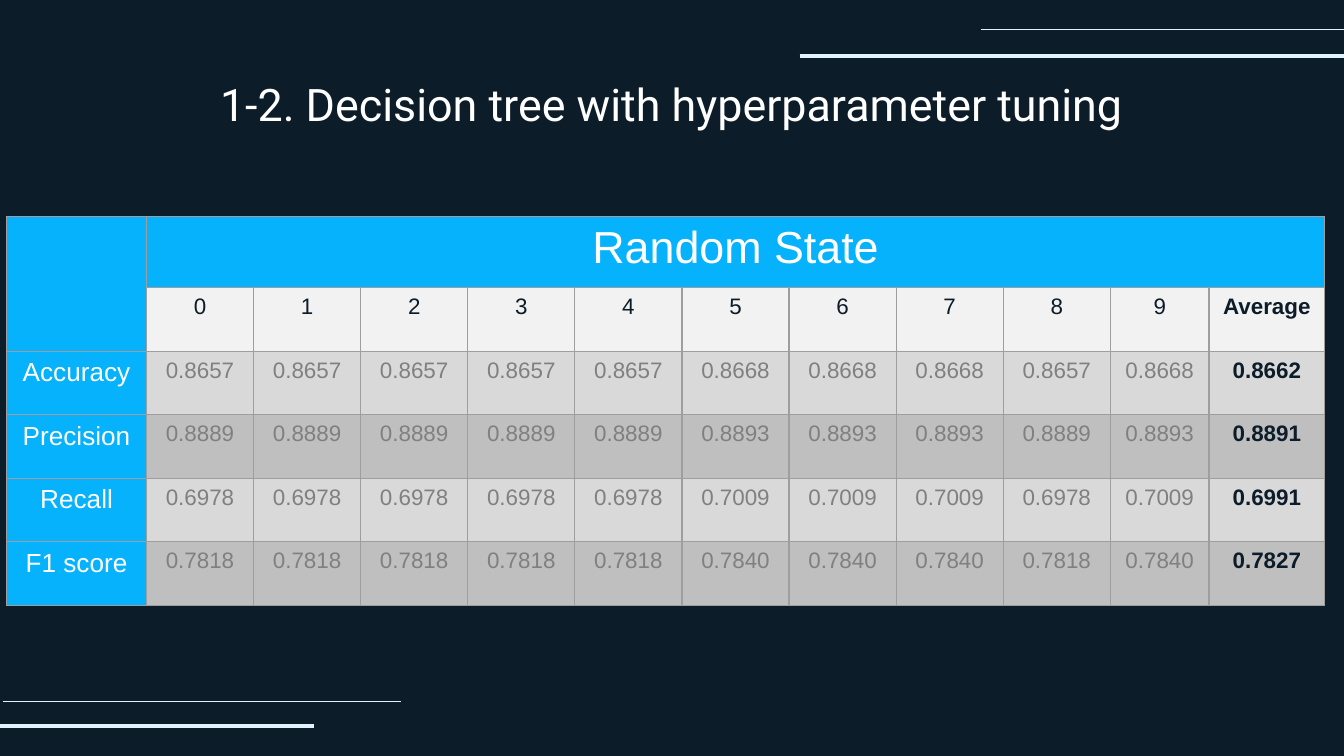
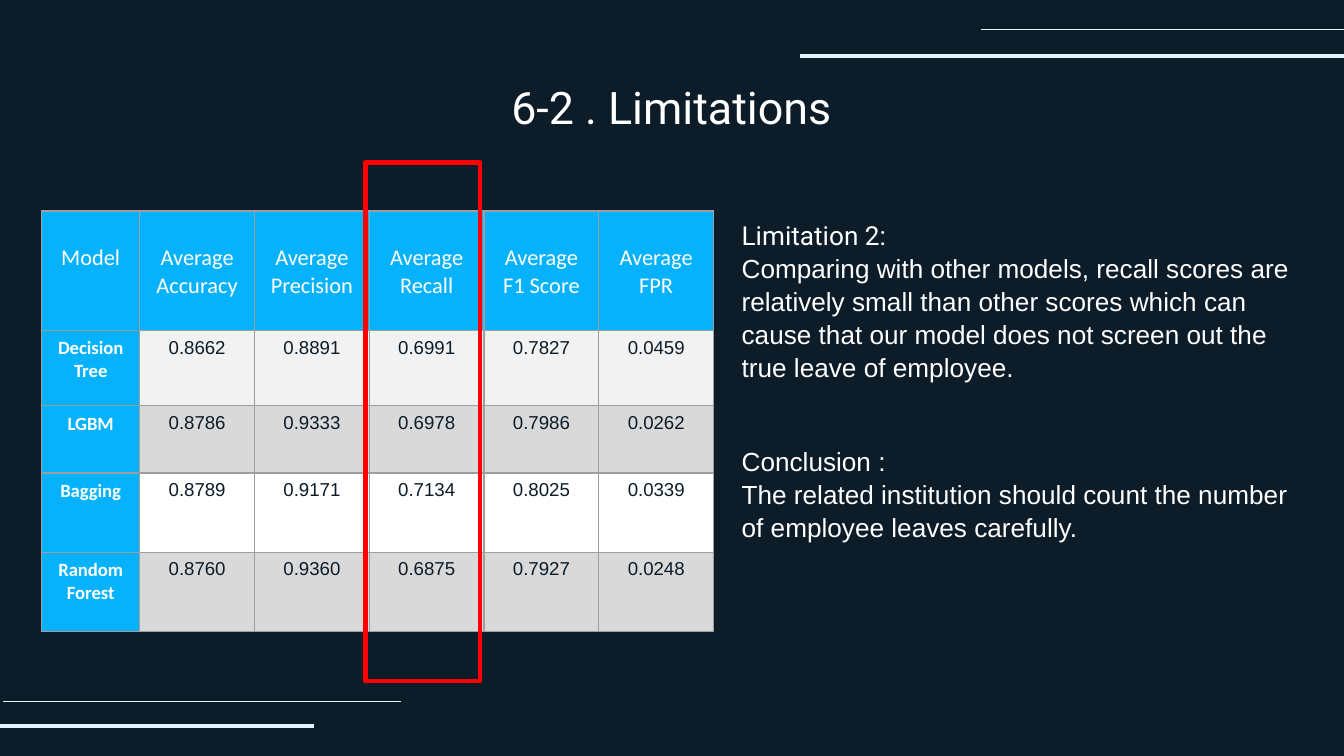
from dataclasses import dataclass
from typing import Any, NamedTuple

from lxml.etree import SubElement
from pptx import Presentation
from pptx.dml.color import RGBColor
from pptx.enum.shapes import MSO_CONNECTOR, MSO_SHAPE
from pptx.enum.text import MSO_ANCHOR, PP_ALIGN
from pptx.oxml.ns import qn
from pptx.util import Emu, Inches, Pt

SLIDE_WIDTH = Inches(10)
SLIDE_HEIGHT = Inches(5.625)
GRID_COLUMNS = 100
GRID_ROWS = 56.25


def across(columns: float) -> Emu:
    return Emu(round(SLIDE_WIDTH * columns / GRID_COLUMNS))


def down(rows: float) -> Emu:
    return Emu(round(SLIDE_HEIGHT * rows / GRID_ROWS))


class TextStyle(NamedTuple):
    size: float
    font: str
    color: str
    bold: bool = False


@dataclass(frozen=True)
class Theme:
    background: str = "0C1C29"
    accent: str = "E0F4FB"
    header: str = "05B2FB"
    border: str = "9E9E9E"
    highlight: str = "FF0000"
    white: str = "FFFFFF"
    pale: str = "F2F2F2"
    light: str = "D9D9D9"
    medium: str = "BFBFBF"
    thin: float = 0.75
    thick: float = 2.25
    body_spacing: float = 1.05
    title: TextStyle = TextStyle(24, "Roboto", "FFFFFF")
    lead: TextStyle = TextStyle(14, "Roboto", "FFFFFF")
    body: TextStyle = TextStyle(14, "Arial", "FFFFFF")
    banner: TextStyle = TextStyle(24, "Arial", "FFFFFF")
    state: TextStyle = TextStyle(12, "Arial", "0C1C29")
    score: TextStyle = TextStyle(12, "Arial", "808080")
    average: TextStyle = TextStyle(12, "Arial", "0C1C29", True)
    column_head: TextStyle = TextStyle(12, "Calibri", "FFFFFF")
    model: TextStyle = TextStyle(10, "Calibri", "FFFFFF", True)
    model_score: TextStyle = TextStyle(10, "Arial", "0C1C29")


THEME = Theme()


class Frame(NamedTuple):
    left: float
    top: float
    width: float
    height: float

    def placed(self) -> tuple[Emu, Emu, Emu, Emu]:
        return across(self.left), down(self.top), across(self.width), down(self.height)


class Rule(NamedTuple):
    start: float
    end: float
    row: float
    weight: float


class Line(NamedTuple):
    text: str
    style: TextStyle
    space_before: float = 0


class Cell(NamedTuple):
    text: str
    style: TextStyle
    fill: str
    top_inset: float = 0.5


RULES = (
    Rule(0, 23.4, 54, THEME.thick),
    Rule(0.2, 29.8, 52.2, THEME.thin),
    Rule(59.5, 100, 4.2, THEME.thick),
    Rule(73, 100, 2.2, THEME.thin),
)

STATES = [str(state) for state in range(10)]
METRICS = {
    "Accuracy": "0.8657 0.8657 0.8657 0.8657 0.8657 0.8668 0.8668 0.8668 0.8657 0.8668 0.8662",
    "Precision": "0.8889 0.8889 0.8889 0.8889 0.8889 0.8893 0.8893 0.8893 0.8889 0.8893 0.8891",
    "Recall": "0.6978 0.6978 0.6978 0.6978 0.6978 0.7009 0.7009 0.7009 0.6978 0.7009 0.6991",
    "F1 score": "0.7818 0.7818 0.7818 0.7818 0.7818 0.7840 0.7840 0.7840 0.7818 0.7840 0.7827",
}

MODEL_HEADS = (
    "Model",
    "Average Accuracy",
    "Average\nPrecision",
    "Average\nRecall",
    "Average\nF1 Score",
    "Average\nFPR",
)
MODELS = {
    "Decision Tree": "0.8662 0.8891 0.6991 0.7827 0.0459",
    "LGBM": "0.8786 0.9333 0.6978 0.7986 0.0262",
    "Bagging": "0.8789 0.9171 0.7134 0.8025 0.0339",
    "Random Forest": "0.8760 0.9360 0.6875 0.7927 0.0248",
}
MODEL_FILLS = (THEME.pale, THEME.light, THEME.white, THEME.light)


def apply(target: Any, values: dict[str, Any]) -> None:
    for name, value in values.items():
        setattr(target, name, value)


def write(frame: Any, lines: list[Line], **paragraph_format: Any) -> None:
    for index, line in enumerate(lines):
        para = frame.add_paragraph() if index else frame.paragraphs[0]
        apply(para, paragraph_format)
        if line.space_before:
            para.space_before = Pt(line.space_before)
        span = para.add_run()
        span.text = line.text
        style = line.style
        apply(span.font, {"size": Pt(style.size), "name": style.font, "bold": style.bold})
        span.font.color.rgb = RGBColor.from_string(style.color)


def add_text(page: Any, place: Frame, lines: list[Line], **paragraph_format: Any) -> None:
    frame = page.shapes.add_textbox(*place.placed()).text_frame
    sides = ("left", "right", "top", "bottom")
    apply(frame, {f"margin_{side}": across(1) for side in sides})
    apply(frame, {"word_wrap": True, "vertical_anchor": MSO_ANCHOR.TOP})
    write(frame, lines, **paragraph_format)


def add_rule(page: Any, rule: Rule) -> None:
    connector = page.shapes.add_connector(
        MSO_CONNECTOR.STRAIGHT,
        across(rule.start), down(rule.row), across(rule.end), down(rule.row),
    )
    connector.line.width = Pt(rule.weight)
    connector.line.color.rgb = RGBColor.from_string(THEME.accent)
    SubElement(connector._element.spPr, qn("a:effectLst"))


def add_page(deck: Any, title: str, place: Frame) -> Any:
    page = deck.slides.add_slide(deck.slide_layouts[6])
    page.background.fill.solid()
    page.background.fill.fore_color.rgb = RGBColor.from_string(THEME.background)
    for rule in RULES:
        add_rule(page, rule)
    add_text(page, place, [Line(title, THEME.title)], alignment=PP_ALIGN.CENTER)
    return page


def add_borders(cell: Any) -> None:
    properties = cell._tc.get_or_add_tcPr()
    for side in ("lnL", "lnR", "lnT", "lnB"):
        edge = SubElement(properties, qn(f"a:{side}"), w=str(Pt(THEME.thin)))
        paint = SubElement(edge, qn("a:solidFill"))
        SubElement(paint, qn("a:srgbClr"), val=THEME.border)


def fill_cell(cell: Any, content: Cell) -> None:
    add_borders(cell)
    cell.fill.solid()
    cell.fill.fore_color.rgb = RGBColor.from_string(content.fill)
    apply(cell, {"margin_top": down(content.top_inset), "vertical_anchor": MSO_ANCHOR.TOP})
    if content.text:
        lines = [Line(text, content.style) for text in content.text.split("\n")]
        write(cell.text_frame, lines, alignment=PP_ALIGN.CENTER)


def add_grid(
    page: Any, left: float, top: float,
    widths: list[float], heights: list[float], rows: list[list[Cell]],
) -> Any:
    place = Frame(left, top, sum(widths), sum(heights))
    table = page.shapes.add_table(len(heights), len(widths), *place.placed()).table
    apply(table, {"first_row": False, "horz_banding": False})
    for column, width in zip(table.columns, widths):
        column.width = across(width)
    for row, height in zip(table.rows, heights):
        row.height = down(height)
    for row, contents in zip(table.rows, rows):
        for cell, content in zip(row.cells, contents):
            fill_cell(cell, content)
    return table


def build_tuning(deck: Any) -> None:
    page = add_page(
        deck, "1-2. Decision tree with hyperparameter tuning", Frame(-1.4, 4.7, 102.7, 6.3)
    )
    blank = Cell("", THEME.body, THEME.header)
    banner = Cell("Random State", THEME.banner, THEME.header)
    rows = [
        [blank, banner] + [blank] * len(STATES),
        [blank]
        + [Cell(state, THEME.state, THEME.pale) for state in STATES]
        + [Cell("Average", THEME.average, THEME.pale)],
    ]
    for index, (metric, values) in enumerate(METRICS.items()):
        fill = (THEME.light, THEME.medium)[index % 2]
        *scores, average = values.split()
        rows.append(
            [Cell(metric, THEME.body, THEME.header)]
            + [Cell(score, THEME.score, fill) for score in scores]
            + [Cell(average, THEME.average, fill)]
        )
    widths = [10.4] + [7.97] * 9 + [7.35, 8.6]
    heights = [5.3] + [4.73] * 5
    table = add_grid(page, 0.5, 16.1, widths, heights, rows)
    table.cell(0, 0).merge(table.cell(1, 0))
    table.cell(0, 1).merge(table.cell(0, len(widths) - 1))


def build_limitations(deck: Any) -> None:
    page = add_page(deck, "6-2 . Limitations", Frame(3, 4.9, 93.9, 6.3))
    lines = [
        Line("Limitation 2:", THEME.lead),
        Line(
            "Comparing with other models, recall scores are relatively small than other "
            "scores which can cause that our model does not screen out the true leave "
            "of employee.",
            THEME.body,
        ),
        Line("Conclusion :", THEME.body, 33),
        Line(
            "The related institution should count the number of employee leaves carefully.",
            THEME.body,
        ),
    ]
    add_text(page, Frame(54.2, 15.2, 43.4, 32.1), lines, line_spacing=THEME.body_spacing)

    rows = [[Cell(head, THEME.column_head, THEME.header, 2.5) for head in MODEL_HEADS]]
    for (model, values), fill in zip(MODELS.items(), MODEL_FILLS):
        rows.append(
            [Cell(model, THEME.model, THEME.header)]
            + [Cell(score, THEME.model_score, fill) for score in values.split()]
        )
    widths = [7.3] + [8.54] * 5
    add_grid(page, 3.1, 15.7, widths, [8.9, 5.6, 5, 5.9, 5.9], rows)

    marker = page.shapes.add_shape(
        MSO_SHAPE.RECTANGLE, *Frame(27.2, 12.1, 8.5, 38.6).placed()
    )
    marker.shadow.inherit = False
    marker.fill.background()
    marker.line.width = Pt(THEME.thick)
    marker.line.color.rgb = RGBColor.from_string(THEME.highlight)


def main() -> None:
    deck = Presentation()
    apply(deck, {"slide_width": SLIDE_WIDTH, "slide_height": SLIDE_HEIGHT})
    build_tuning(deck)
    build_limitations(deck)
    deck.save("out.pptx")


if __name__ == "__main__":
    main()
